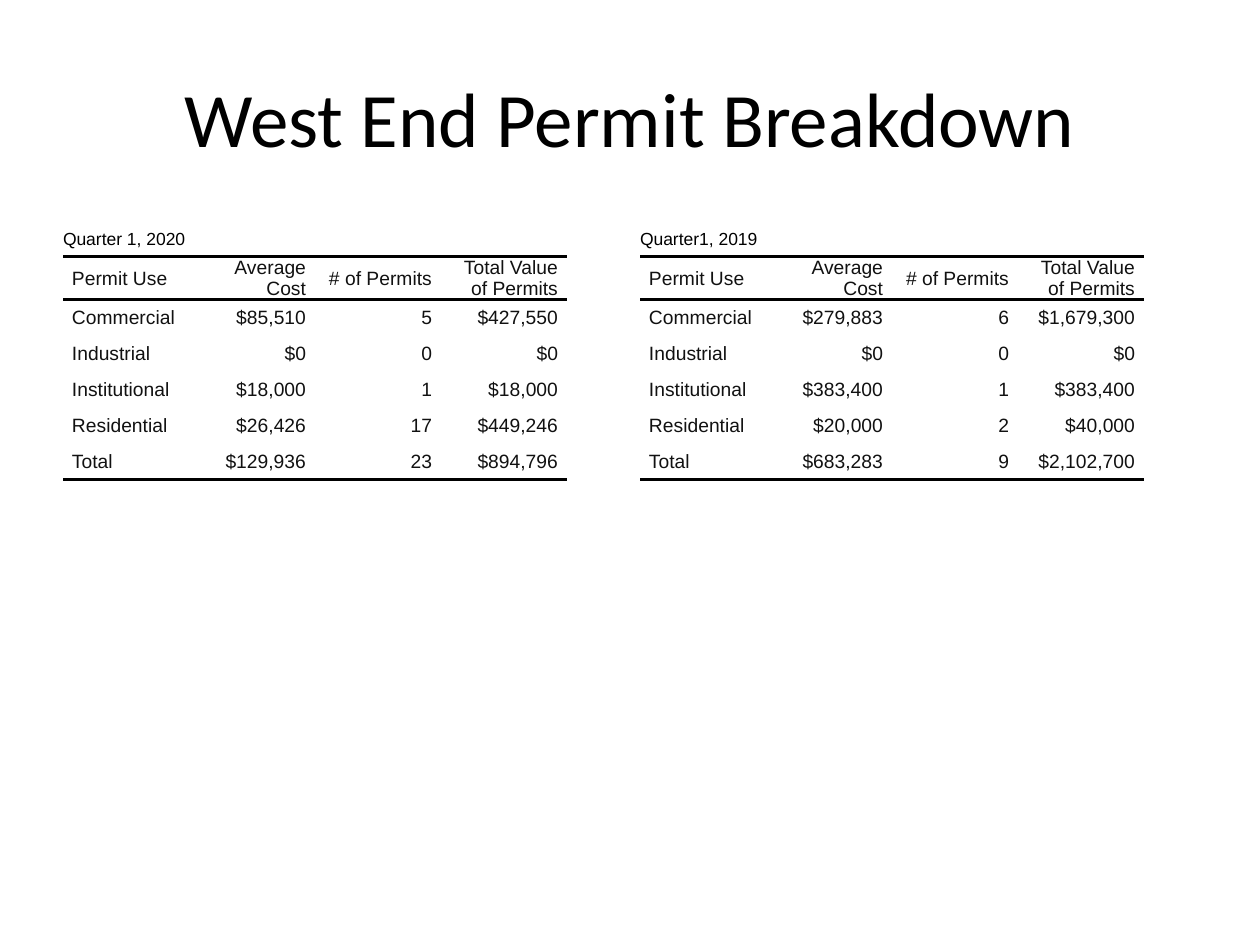
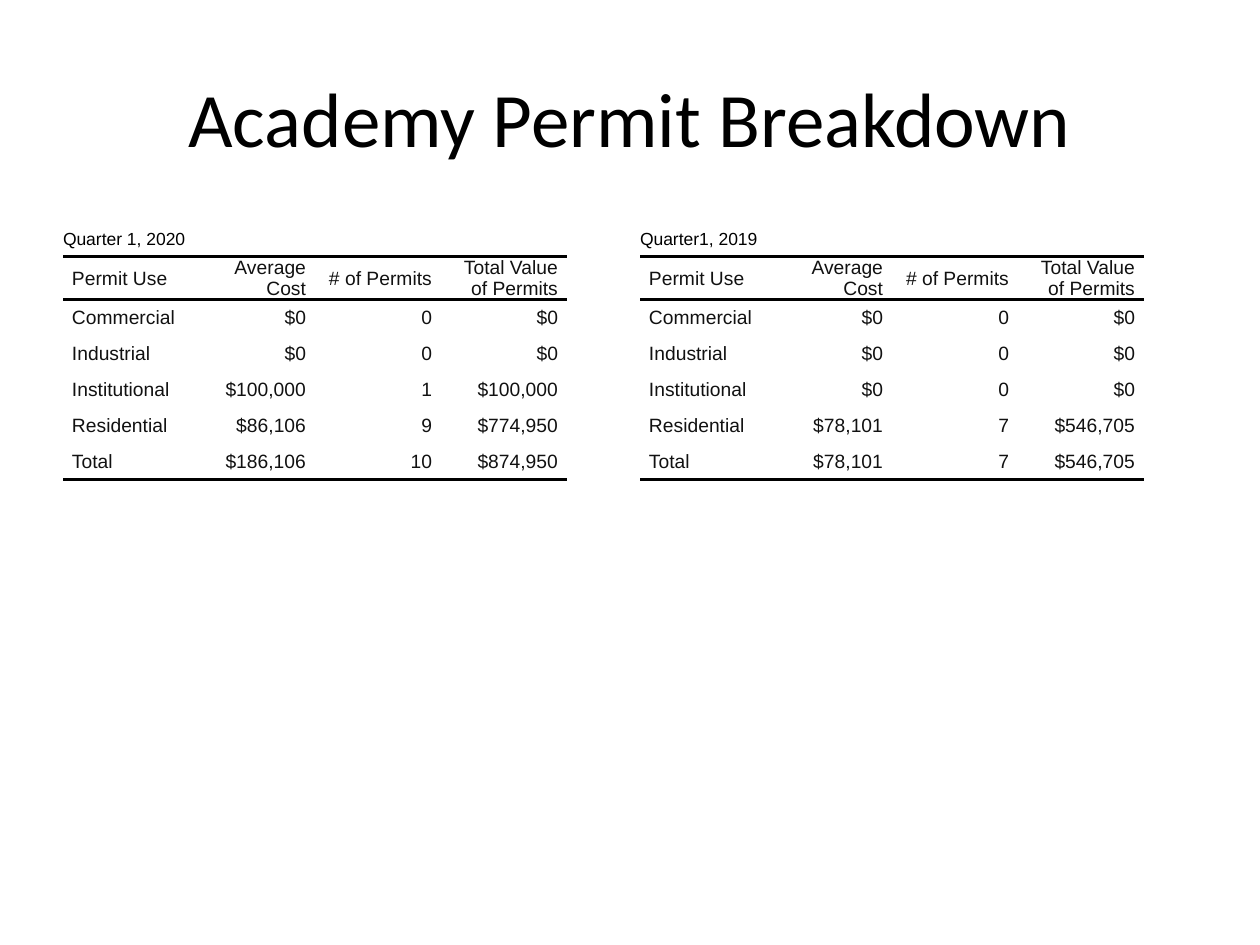
import pptx
import pptx.dml.color
import pptx.enum.text
import pptx.oxml.ns
import pptx.util
from lxml import etree

PX_PER_INCH = 126
COLORS = {"title": "000000", "caption": "000000", "body": "111111", "rule": "000000"}
TITLE_BOX = {"left": 63, "top": 38, "width": 1134, "height": 158}
TABLE_TOP, COL_W, ROW_H, CELL_PAD = 221, 126, 36, 9
RULE_PT = 2
NO_STYLE_NO_GRID = "{2D5ABB26-0587-4C30-8999-92F81FD0307C}"

HEADER = ["Permit Use", "Average Cost", "# of Permits", "Total Value of Permits"]
USES = ["Commercial", "Industrial", "Institutional", "Residential", "Total"]
QUARTERS = [("Quarter 1, 2020", 63), ("Quarter1, 2019", 640)]

# Each area has one list per quarter: average cost, permits and total value by use.
AREAS = {
    "West End Permit Breakdown": [
        [("$85,510", "5", "$427,550"), ("$0", "0", "$0"), ("$18,000", "1", "$18,000"),
         ("$26,426", "17", "$449,246"), ("$129,936", "23", "$894,796")],
        [("$279,883", "6", "$1,679,300"), ("$0", "0", "$0"), ("$383,400", "1", "$383,400"),
         ("$20,000", "2", "$40,000"), ("$683,283", "9", "$2,102,700")],
    ],
    "Academy Permit Breakdown": [
        [("$0", "0", "$0"), ("$0", "0", "$0"), ("$100,000", "1", "$100,000"),
         ("$86,106", "9", "$774,950"), ("$186,106", "10", "$874,950")],
        [("$0", "0", "$0"), ("$0", "0", "$0"), ("$0", "0", "$0"),
         ("$78,101", "7", "$546,705"), ("$78,101", "7", "$546,705")],
    ],
}


def px(n):
    return pptx.util.Emu(round(n * 914400 / PX_PER_INCH))


def set_attrs(obj, values):
    for name, value in values.items():
        setattr(obj, name, value)


def format_text(p, font, size, color, align):
    p.alignment = align
    set_attrs(p.font, {"name": font, "size": pptx.util.Pt(size)})
    p.font.color.rgb = pptx.dml.color.RGBColor.from_string(COLORS[color])


def add_title(slide, text):
    sp = slide.shapes.title
    set_attrs(sp, {name: px(n) for name, n in TITLE_BOX.items()})
    tf = sp.text_frame
    tf.text = text
    tf.vertical_anchor = pptx.enum.text.MSO_ANCHOR.MIDDLE
    format_text(tf.paragraphs[0], "Calibri", 44, "title", pptx.enum.text.PP_ALIGN.CENTER)


def add_rule(cell, side):
    """Draw a border on one side of a cell: lnT for top, lnB for bottom."""
    qn = pptx.oxml.ns.qn
    tc_pr = cell._tc.get_or_add_tcPr()
    ln = etree.SubElement(tc_pr, qn(f"a:{side}"), w=str(pptx.util.Pt(RULE_PT)))
    fill = etree.SubElement(ln, qn("a:solidFill"))
    etree.SubElement(fill, qn("a:srgbClr"), val=COLORS["rule"])


def fill_cell(cell, text, size, color, align, pad=0, rules=()):
    cell.text = text
    set_attrs(cell, {
        "vertical_anchor": pptx.enum.text.MSO_ANCHOR.MIDDLE,
        "margin_left": px(pad), "margin_right": px(pad),
        "margin_top": 0, "margin_bottom": 0,
    })
    for side in rules:
        add_rule(cell, side)
    cell.fill.background()
    format_text(cell.text_frame.paragraphs[0], "Arial", size, color, align)


def add_permit_table(slide, left, caption, values):
    align = pptx.enum.text.PP_ALIGN
    rows = [HEADER] + [[use, *row] for use, row in zip(USES, values)]
    n_rows, n_cols = len(rows) + 1, len(HEADER)
    frame = slide.shapes.add_table(n_rows, n_cols, px(left), px(TABLE_TOP),
                                   px(n_cols * COL_W), px(n_rows * ROW_H))
    tbl = frame.table
    set_attrs(tbl, {"first_row": False, "horz_banding": False})
    tbl._tbl.tblPr.find(pptx.oxml.ns.qn("a:tableStyleId")).text = NO_STYLE_NO_GRID
    for col in tbl.columns:
        col.width = px(COL_W)
    for row in tbl.rows:
        row.height = px(ROW_H)

    tbl.cell(0, 0).merge(tbl.cell(0, n_cols - 1))
    fill_cell(tbl.cell(0, 0), caption, 10, "caption", align.LEFT)
    rules = {1: ("lnT", "lnB"), len(rows): ("lnB",)}
    for r, row in enumerate(rows, start=1):
        for c, text in enumerate(row):
            fill_cell(tbl.cell(r, c), text, 11, "body", align.RIGHT if c else align.LEFT,
                      CELL_PAD, rules.get(r, ()))


def main():
    prs = pptx.Presentation()
    set_attrs(prs, {"slide_width": px(1260), "slide_height": px(945)})
    for title, quarters in AREAS.items():
        slide = prs.slides.add_slide(prs.slide_layouts.get_by_name("Title Only"))
        add_title(slide, title)
        for (caption, left), values in zip(QUARTERS, quarters):
            add_permit_table(slide, left, caption, values)
    prs.save("out.pptx")


if __name__ == "__main__":
    main()
